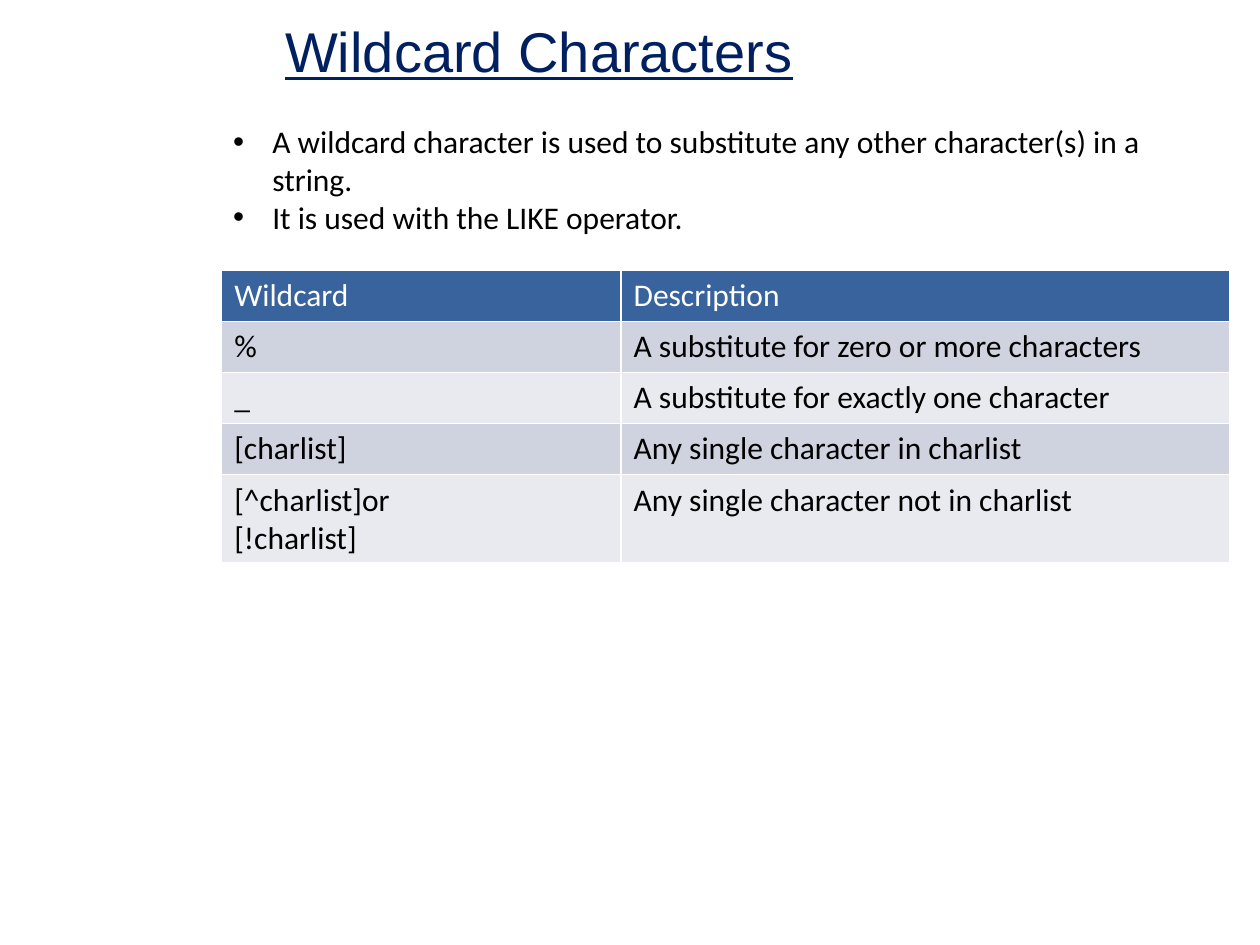
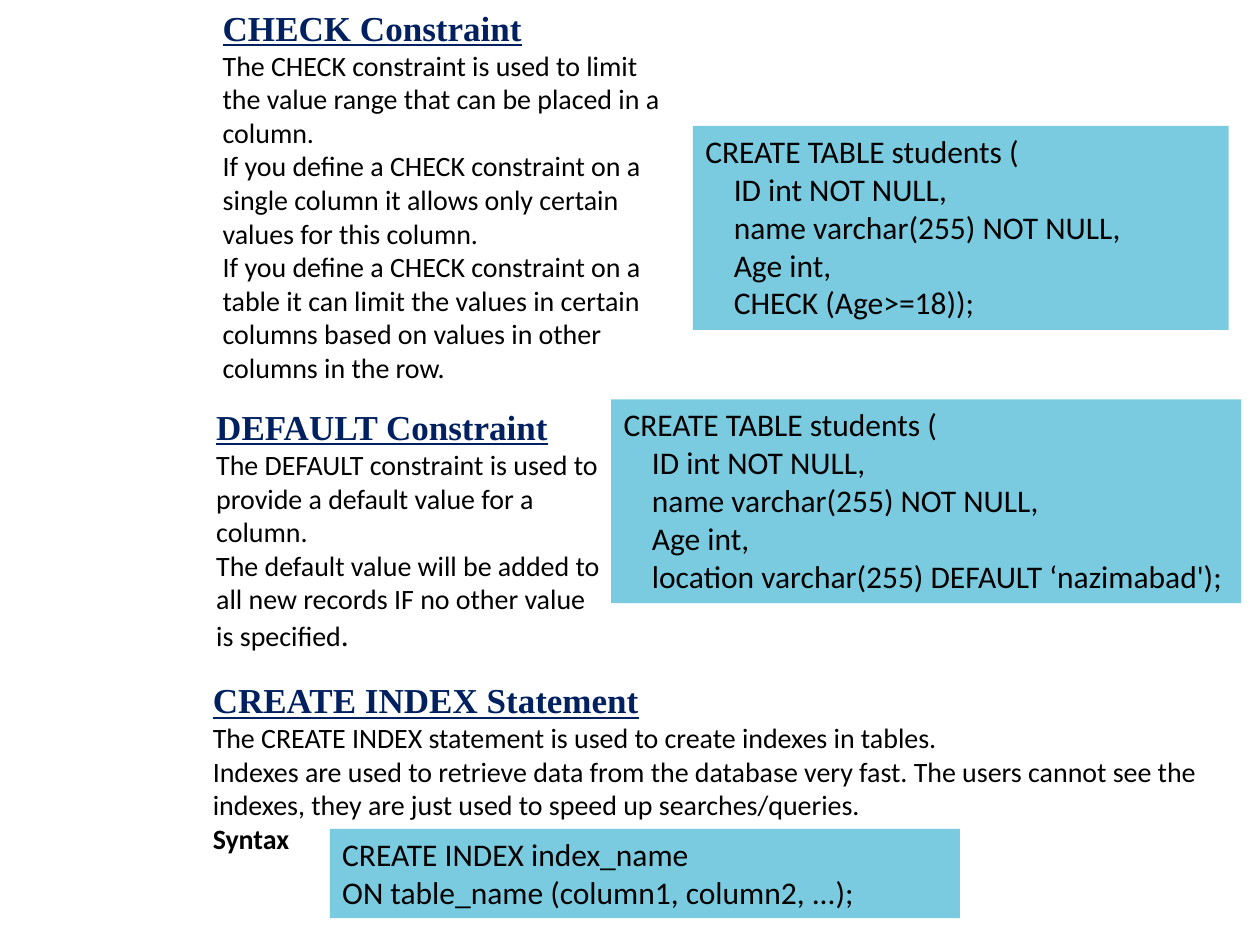
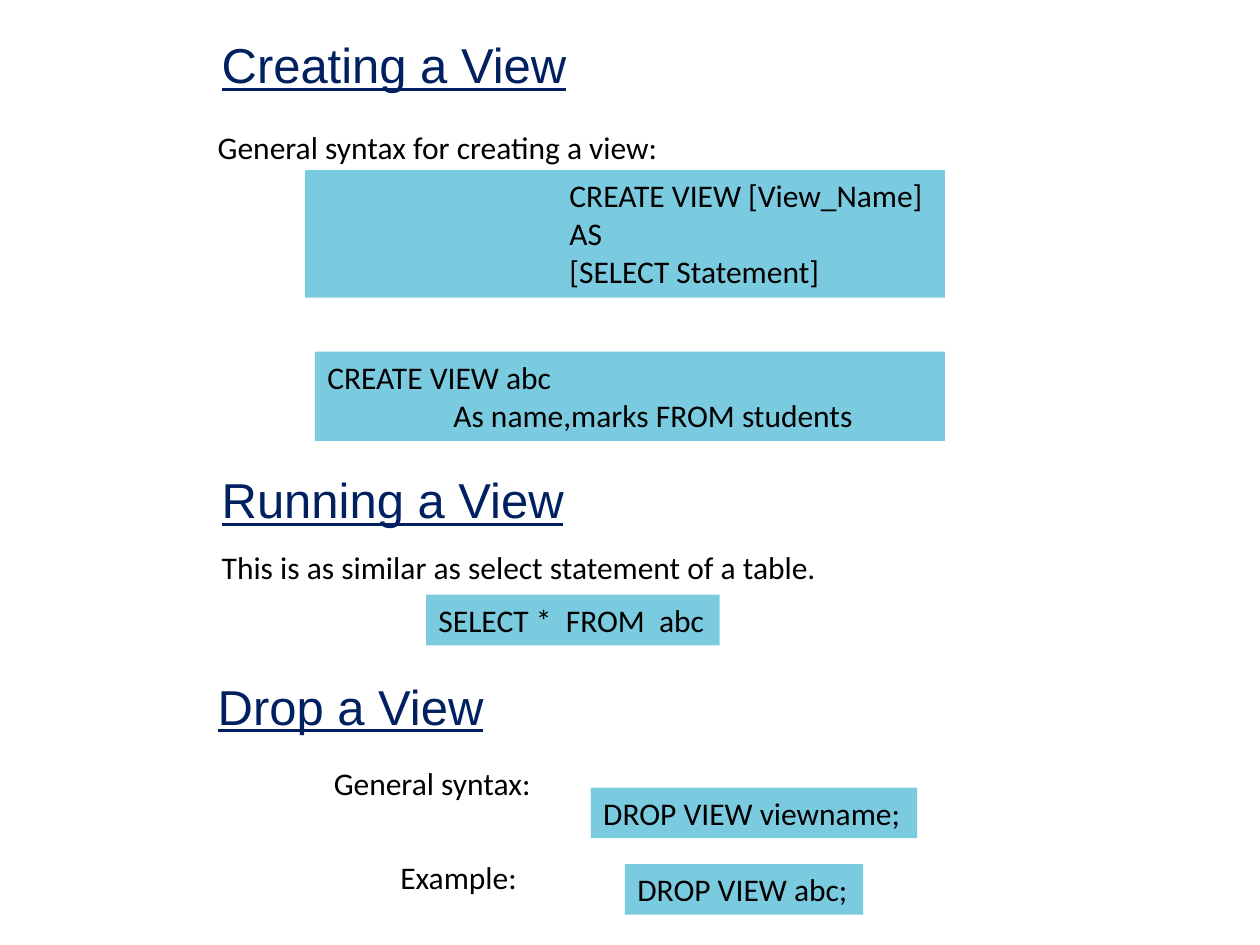
from lxml import etree
from pptx import Presentation
from pptx.dml.color import RGBColor
from pptx.enum.shapes import MSO_SHAPE
from pptx.enum.text import MSO_ANCHOR, PP_ALIGN
from pptx.oxml.ns import qn
from pptx.util import Cm, Pt

RECTANGLE = MSO_SHAPE.RECTANGLE
TOP = MSO_ANCHOR.TOP
LEFT = PP_ALIGN.LEFT
color = RGBColor.from_string

NAVY, BLACK, WHITE = "002060", "000000", "FFFFFF"
CODE_FILL, HEADER_FILL = "7ACBE0", "39639D"
ROW_FILLS = ["CED3DF", "E8EAEF"]

TITLE = {"name": "Arial", "size": Pt(32), "underline": True, "color": NAVY}
HEADING = {**TITLE, "size": Pt(28)}
SECTION = {**TITLE, "name": "Times New Roman", "size": Pt(20), "bold": True}
BODY = {"name": "Calibri", "size": Pt(18), "bold": False, "color": BLACK}
SMALL = {**BODY, "size": Pt(16)}
SMALL_BOLD = {**SMALL, "bold": True}
TABLE_HEADER = {**BODY, "color": WHITE}


def write_lines(text_frame, lines):
    for index, (text, style) in enumerate(lines):
        paragraph = text_frame.paragraphs[0] if index == 0 else text_frame.add_paragraph()
        paragraph.alignment = LEFT
        run = paragraph.add_run()
        run.text = text
        for name, value in style.items():
            if name == "color":
                run.font.color.rgb = color(value)
            else:
                setattr(run.font, name, value)


def add_text(slide, box, lines, fill=None):
    position = [Cm(length) for length in box]
    if fill:
        shape = slide.shapes.add_shape(RECTANGLE, *position)
        shape.shadow.inherit = False
        shape.fill.solid()
        shape.fill.fore_color.rgb = color(fill)
        shape.line.fill.background()
    else:
        shape = slide.shapes.add_textbox(*position)
    shape.text_frame.word_wrap = True
    shape.text_frame.vertical_anchor = TOP
    write_lines(shape.text_frame, lines)
    return shape.text_frame.paragraphs


presentation = Presentation()
presentation.slide_width = Cm(25.4)
presentation.slide_height = Cm(19.05)
blank = presentation.slide_layouts[6]
wildcard_slide, constraint_slide, view_slide = [
    presentation.slides.add_slide(blank) for _ in range(3)
]

bullets = add_text(wildcard_slide, (4.45, 2.34, 19.89, 2.57), [
    ("A wildcard character is used to substitute any other character(s) in a string.", BODY),
    ("It is used with the LIKE operator.", BODY),
])
for paragraph in bullets:
    properties = paragraph._p.get_or_add_pPr()
    properties.set("marL", str(Cm(0.79)))
    properties.set("indent", str(-Cm(0.79)))
    etree.SubElement(properties, qn("a:buFont"), typeface="Arial")
    etree.SubElement(properties, qn("a:buChar"), char="•")

add_text(wildcard_slide, (5.5, 0.2, 17.78, 1.63), [("Wildcard Characters", TITLE)])

wildcard_rows = [
    ("Wildcard", "Description"),
    ("%", "A substitute for zero or more characters"),
    ("_", "A substitute for exactly one character"),
    ("[charlist]", "Any single character in charlist"),
    ("[^charlist]or\n[!charlist]", "Any single character not in charlist"),
]
table = wildcard_slide.shapes.add_table(
    len(wildcard_rows), 2, Cm(4.47), Cm(5.45), Cm(20.32), Cm(5.89)
).table
for column, width in zip(table.columns, (8.05, 12.27)):
    column.width = Cm(width)
for row_index, texts in enumerate(wildcard_rows):
    table.rows[row_index].height = Cm(1.03 if row_index < 4 else 1.77)
    fill = ROW_FILLS[(row_index - 1) % 2] if row_index else HEADER_FILL
    style = BODY if row_index else TABLE_HEADER
    for column_index, text in enumerate(texts):
        cell = table.cell(row_index, column_index)
        write_lines(cell.text_frame, [(line, style) for line in text.split("\n")])
        cell.fill.solid()
        cell.fill.fore_color.rgb = color(fill)
        properties = cell._tc.get_or_add_tcPr()
        for order, side in enumerate(("lnL", "lnR", "lnT", "lnB")):
            border = etree.Element(qn(f"a:{side}"), w=str(Pt(1)))
            solid = etree.SubElement(border, qn("a:solidFill"))
            etree.SubElement(solid, qn("a:srgbClr"), val=WHITE)
            properties.insert(order, border)

add_text(constraint_slide, (4.24, 0, 9.73, 7.95), [
    ("CHECK Constraint", SECTION),
    ("The CHECK constraint is used to limit the value range that can be placed in a column.", SMALL),
    ("If you define a CHECK constraint on a single column it allows only certain values "
     "for this column.", SMALL),
    ("If you define a CHECK constraint on a table it can limit the values in certain columns "
     "based on values in other columns in the row.", SMALL),
])
default_paragraphs = add_text(constraint_slide, (4.11, 8.05, 8.26, 5.31), [
    ("DEFAULT Constraint", SECTION),
    ("The DEFAULT constraint is used to provide a default value for a column.", SMALL),
    ("The default value will be added to all new records IF no other value is specified", SMALL),
], WHITE)
full_stop = default_paragraphs[-1].add_run()
full_stop.text = "."
full_stop.font.name = BODY["name"]
full_stop.font.size = BODY["size"]
full_stop.font.color.rgb = color(BLACK)
add_text(constraint_slide, (4.04, 13.56, 21.16, 3.84), [
    ("CREATE INDEX Statement", SECTION),
    ("The CREATE INDEX statement is used to create indexes in tables.", SMALL),
    ("Indexes are used to retrieve data from the database very fast. The users cannot see the "
     "indexes, they are just used to speed up searches/queries.", SMALL),
    ("Syntax", SMALL_BOLD),
])

students_table = [
    "CREATE TABLE students (",
    "    ID int NOT NULL,",
    "    name varchar(255) NOT NULL,",
    "    Age int,",
]
constraint_code = [
    ((13.97, 2.54, 10.8, 4.11), students_table + ["    CHECK (Age>=18));"]),
    ((12.32, 8.05, 12.7, 4.11),
     students_table + ["    location varchar(255) DEFAULT ‘nazimabad');"]),
    ((6.65, 16.71, 12.7, 1.8),
     ["CREATE INDEX index_name", "ON table_name (column1, column2, ...);"]),
]
for box, code in constraint_code:
    add_text(constraint_slide, box, [(line, BODY) for line in code], CODE_FILL)

view_texts = [
    ((4.22, 0.58, 8.89, 1.45), "Creating a View", HEADING),
    ((4.14, 2.46, 9.47, 1.02), "General syntax for creating a view:", BODY),
    ((4.22, 9.35, 8.48, 1.45), "Running a View", HEADING),
    ((4.22, 10.92, 17.3, 1.02), "This is as similar as select statement of a table.", BODY),
    ((4.14, 13.51, 6.88, 1.45), "Drop a View", HEADING),
    ((6.48, 15.27, 6.58, 1.02), "General syntax:", BODY),
    ((7.82, 17.17, 2.9, 1.02), "Example:", BODY),
]
for box, text, style in view_texts:
    add_text(view_slide, box, [(text, style)])

view_code = [
    ((6.15, 3.43, 12.9, 2.57),
     ["CREATE VIEW [View_Name]", "AS", "[SELECT Statement]"], [5.08, 5.08, 5.08]),
    ((6.35, 7.09, 12.7, 1.8), ["CREATE VIEW abc", "As name,marks FROM students"], [0, 2.54]),
    ((8.59, 11.99, 5.92, 1.02), ["SELECT *  FROM  abc"], [0]),
    ((11.91, 15.88, 6.58, 1.02), ["DROP VIEW viewname;"], [0]),
    ((12.6, 17.42, 4.8, 1.02), ["DROP VIEW abc;"], [0]),
]
for box, code, indents in view_code:
    paragraphs = add_text(view_slide, box, [(line, BODY) for line in code], CODE_FILL)
    for paragraph, indent in zip(paragraphs, indents):
        paragraph._p.get_or_add_pPr().set("marL", str(Cm(indent)))

presentation.save("out.pptx")
